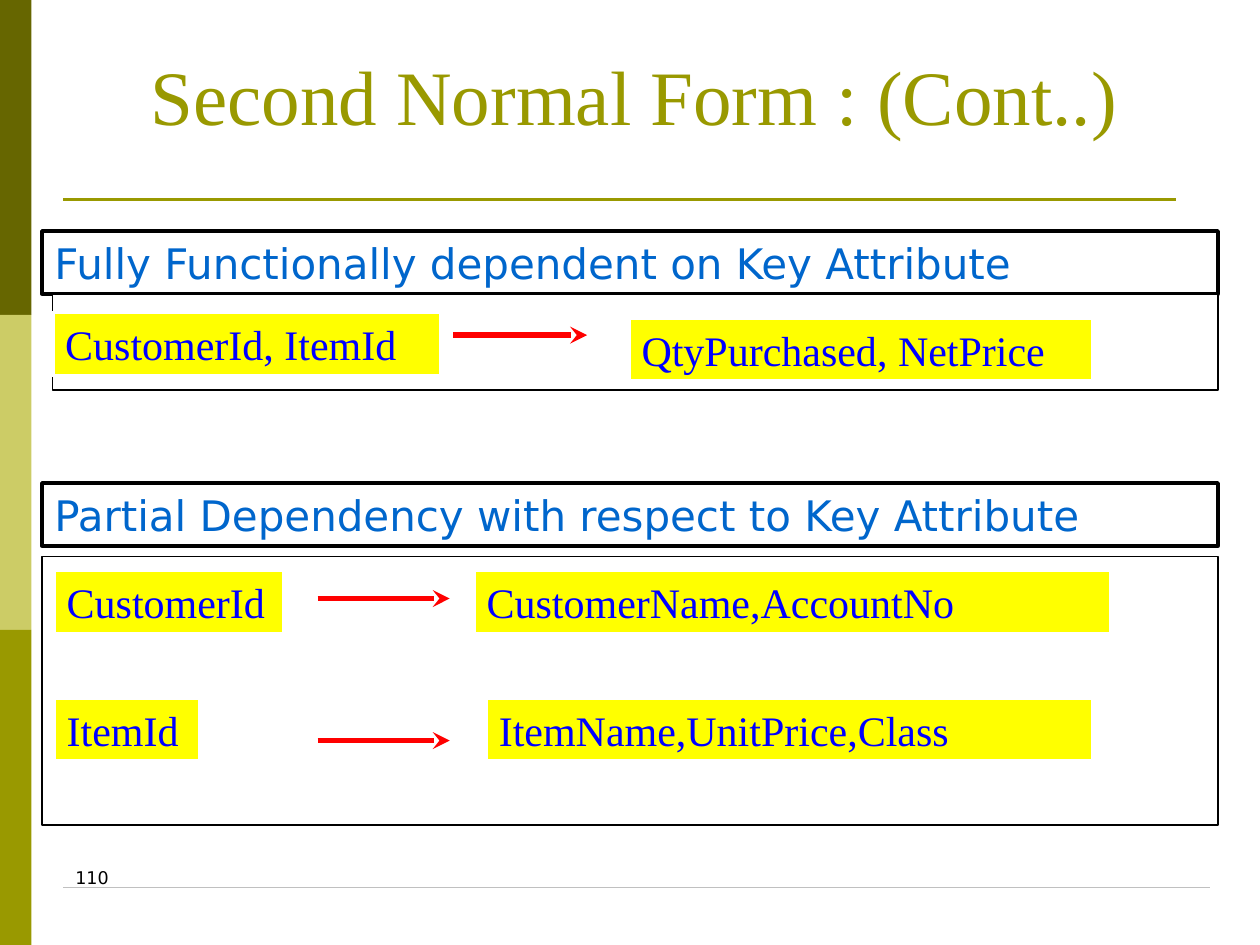
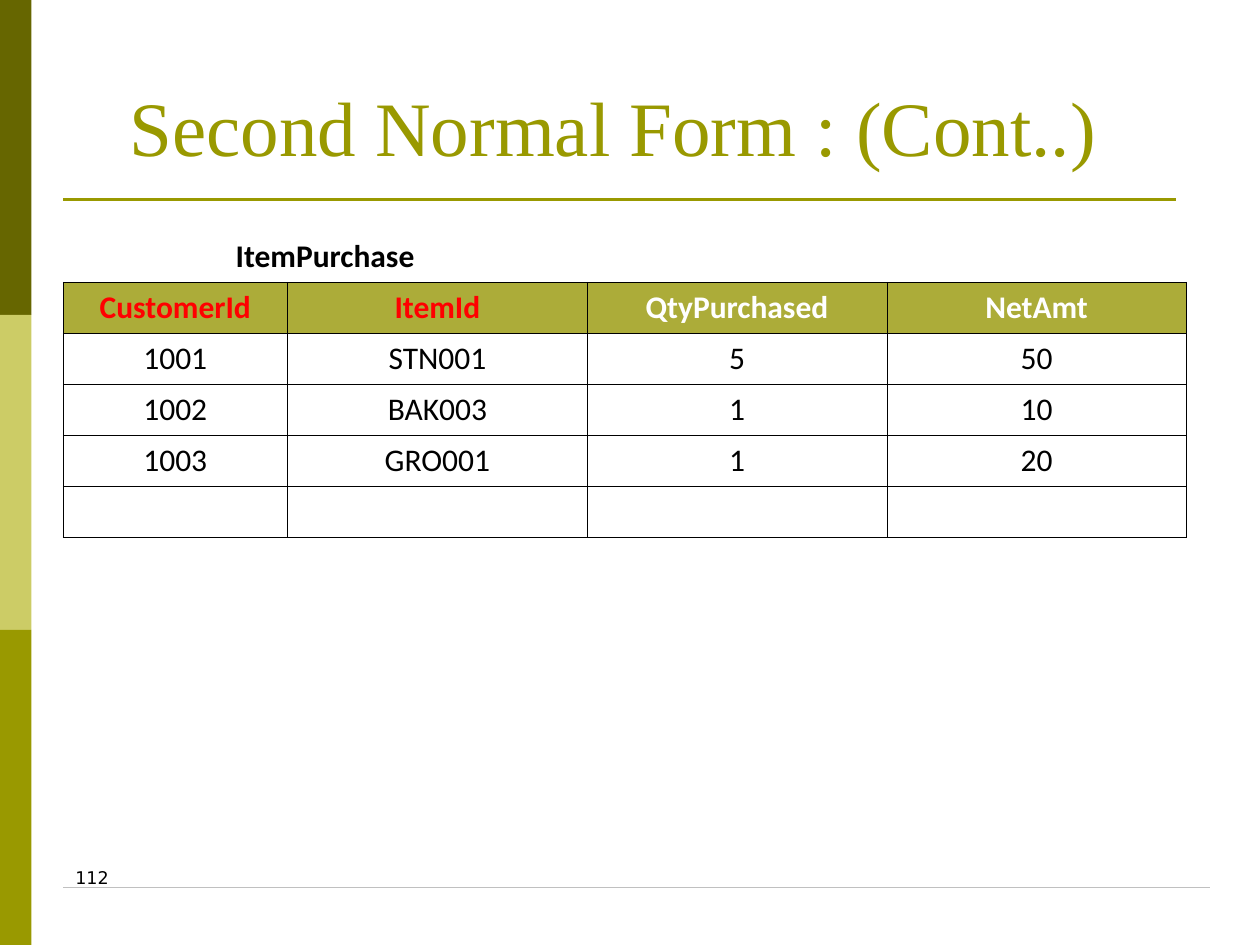
from dataclasses import dataclass

from lxml import etree
from pptx import Presentation
from pptx.dml.color import RGBColor
from pptx.enum.shapes import MSO_CONNECTOR, MSO_SHAPE
from pptx.enum.text import MSO_ANCHOR, PP_ALIGN
from pptx.oxml.ns import qn
from pptx.util import Pt

RECTANGLE = MSO_SHAPE.RECTANGLE
STRAIGHT = MSO_CONNECTOR.STRAIGHT
LEFT, CENTER = PP_ALIGN.LEFT, PP_ALIGN.CENTER
TOP, BOTTOM = MSO_ANCHOR.TOP, MSO_ANCHOR.BOTTOM


@dataclass(frozen=True)
class Theme:
    olive: str = "999900"
    dark_olive: str = "666600"
    light_olive: str = "CCCC66"
    header_olive: str = "ACAC39"
    footer_gray: str = "C0C0C0"
    black: str = "000000"
    white: str = "FFFFFF"
    red: str = "FF0000"
    yellow: str = "FFFF00"
    blue: str = "0000FF"
    heading_blue: str = "0066CC"
    serif: str = "Times New Roman"
    sans: str = "DejaVu Sans"
    table_font: str = "Calibri"
    title_size: int = 44
    body_size: int = 24
    table_size: int = 18
    number_size: int = 10


THEME = Theme()
PAGE_WIDTH, PAGE_HEIGHT = 720, 540
TITLE = "Second Normal Form : (Cont..)"

SECTIONS = [
    {
        "heading": "Fully Functionally dependent on Key Attribute",
        "heading_top": 132,
        "panel": (30, 168, 666, 54.7),
        "panel_fill": THEME.white,
        "dependencies": [
            (("CustomerId, ItemId", 30.2, 178.6, 221.8),
             ("QtyPurchased, NetPrice", 359.5, 181.7, 265),
             (259, 335.5, 191.5)),
        ],
    },
    {
        "heading": "Partial Dependency with respect to Key Attribute",
        "heading_top": 276,
        "panel": (24, 318, 672, 153.4),
        "panel_fill": None,
        "dependencies": [
            (("CustomerId", 31, 326, 131),
             ("CustomerName,AccountNo", 271, 326, 363.5),
             (181.5, 257, 342)),
            (("ItemId", 31, 399, 83),
             ("ItemName,UnitPrice,Class", 278, 399, 346.5),
             (181.5, 257, 423.2)),
        ],
    },
]

TABLE_NAME = "ItemPurchase"
TABLE_HEADERS = ["CustomerId", "ItemId", "QtyPurchased", "NetAmt"]
KEY_COLUMNS = {"CustomerId", "ItemId"}
PURCHASES = [
    ["1001", "STN001", "5", "50"],
    ["1002", "BAK003", "1", "10"],
    ["1003", "GRO001", "1", "20"],
    ["", "", "", ""],
]
COLUMN_WIDTHS = [128.4, 171.2, 171.2, 171.2]
ROW_HEIGHT = 29.15


def points(*lengths):
    return [Pt(length) for length in lengths]


def color(value):
    return RGBColor.from_string(value)


def write(frame, text, size, font, ink, align=LEFT, bold=False):
    frame.text = text
    para = frame.paragraphs[0]
    para.alignment = align
    for style in [para.font] + [span.font for span in para.runs]:
        style.size = Pt(size)
        style.name = font
        style.bold = bold
        style.color.rgb = color(ink)


def set_frame(frame, anchor=TOP, left_inset=7.2):
    frame.word_wrap = True
    frame.vertical_anchor = anchor
    frame.margin_left = Pt(left_inset)
    frame.margin_right = Pt(7.2)
    frame.margin_top = frame.margin_bottom = Pt(3.6)


def add_rectangle(page, area, fill=None, line=None, line_width=1):
    box = page.shapes.add_shape(RECTANGLE, *points(*area))
    box.shadow.inherit = False
    if fill:
        box.fill.solid()
        box.fill.fore_color.rgb = color(fill)
    else:
        box.fill.background()
    if line:
        box.line.color.rgb = color(line)
        box.line.width = Pt(line_width)
    else:
        box.line.fill.background()
    set_frame(box.text_frame)
    return box


def add_line(page, start, end, top, ink, width, arrow=False):
    connector = page.shapes.add_connector(STRAIGHT, *points(start, top, end, top))
    connector.line.color.rgb = color(ink)
    connector.line.width = Pt(width)
    if arrow:
        etree.SubElement(connector.line._get_or_add_ln(), qn("a:tailEnd"), type="stealth")
    etree.SubElement(connector._element.spPr, qn("a:effectLst"))


def add_text(page, area, text, size, font, ink, align=LEFT, anchor=TOP, left_inset=7.2):
    box = page.shapes.add_textbox(*points(*area))
    set_frame(box.text_frame, anchor, left_inset)
    write(box.text_frame, text, size, font, ink, align)


def add_page(deck, number, title_area):
    page = deck.slides.add_slide(deck.slide_layouts[6])
    bands = [THEME.dark_olive, THEME.light_olive, THEME.olive]
    band_height = PAGE_HEIGHT / len(bands)
    for index, fill in enumerate(bands):
        add_rectangle(page, (0, index * band_height, 18, band_height), fill)
    add_line(page, 36, 672, 114, THEME.olive, 1.5)
    add_line(page, 36, 691.5, 507, THEME.footer_gray, 0.75)
    add_text(page, (36, 492, 168, 36), number, THEME.number_size, THEME.sans, THEME.black)
    add_text(page, title_area, TITLE, THEME.title_size, THEME.serif, THEME.olive,
             CENTER, BOTTOM, 0)
    return page


def add_attributes(page, text, left, top, width):
    box = add_rectangle(page, (left, top, width, 36), THEME.yellow, THEME.white, 2)
    write(box.text_frame, text, THEME.body_size, THEME.serif, THEME.blue)


def add_section(page, section):
    heading = add_rectangle(page, (24, section["heading_top"], 672, 36), None, THEME.black, 2)
    write(heading.text_frame, section["heading"], THEME.body_size, THEME.sans,
          THEME.heading_blue)
    add_rectangle(page, section["panel"], section["panel_fill"], THEME.black, 1)
    for determinant, dependent, arrow in section["dependencies"]:
        add_attributes(page, *determinant)
        add_attributes(page, *dependent)
        add_line(page, *arrow, THEME.red, 3.25, arrow=True)


def set_borders(cell, visible):
    properties = cell._tc.get_or_add_tcPr()
    for side in ("L", "R", "T", "B"):
        border = etree.SubElement(properties, qn(f"a:ln{side}"), w=str(Pt(0.23)))
        if side in visible:
            fill = etree.SubElement(border, qn("a:solidFill"))
            etree.SubElement(fill, qn("a:srgbClr"), val=THEME.black)
        else:
            etree.SubElement(border, qn("a:noFill"))


def add_purchase_table(page):
    rows = [[TABLE_NAME, "", "", ""], TABLE_HEADERS] + PURCHASES
    area = (36, 132, sum(COLUMN_WIDTHS), ROW_HEIGHT * len(rows))
    table = page.shapes.add_table(len(rows), len(COLUMN_WIDTHS), *points(*area)).table
    table.first_row = table.horz_banding = False
    for column, width in zip(table.columns, COLUMN_WIDTHS):
        column.width = Pt(width)
    for row_index, values in enumerate(rows):
        table.rows[row_index].height = Pt(ROW_HEIGHT)
        is_header = row_index == 1
        for column_index, value in enumerate(values):
            cell = table.cell(row_index, column_index)
            set_borders(cell, "LRTB" if row_index else "B")
            cell.vertical_anchor = BOTTOM
            cell.margin_left = cell.margin_right = Pt(0.7)
            cell.margin_top = cell.margin_bottom = Pt(3.6)
            ink = THEME.black
            if is_header:
                cell.fill.solid()
                cell.fill.fore_color.rgb = color(THEME.header_olive)
                ink = THEME.red if value in KEY_COLUMNS else THEME.white
            else:
                cell.fill.background()
            write(cell.text_frame, value, THEME.table_size, THEME.table_font, ink,
                  CENTER, row_index < 2)
    table.cell(0, 0).merge(table.cell(0, 1))


def main():
    deck = Presentation()
    deck.slide_width, deck.slide_height = points(PAGE_WIDTH, PAGE_HEIGHT)
    dependency_page = add_page(deck, "110", (24, 24, 684, 60))
    for section in SECTIONS:
        add_section(dependency_page, section)
    table_page = add_page(deck, "112", (36, 25.2, 636, 76.3))
    add_purchase_table(table_page)
    deck.save("out.pptx")


if __name__ == "__main__":
    main()
